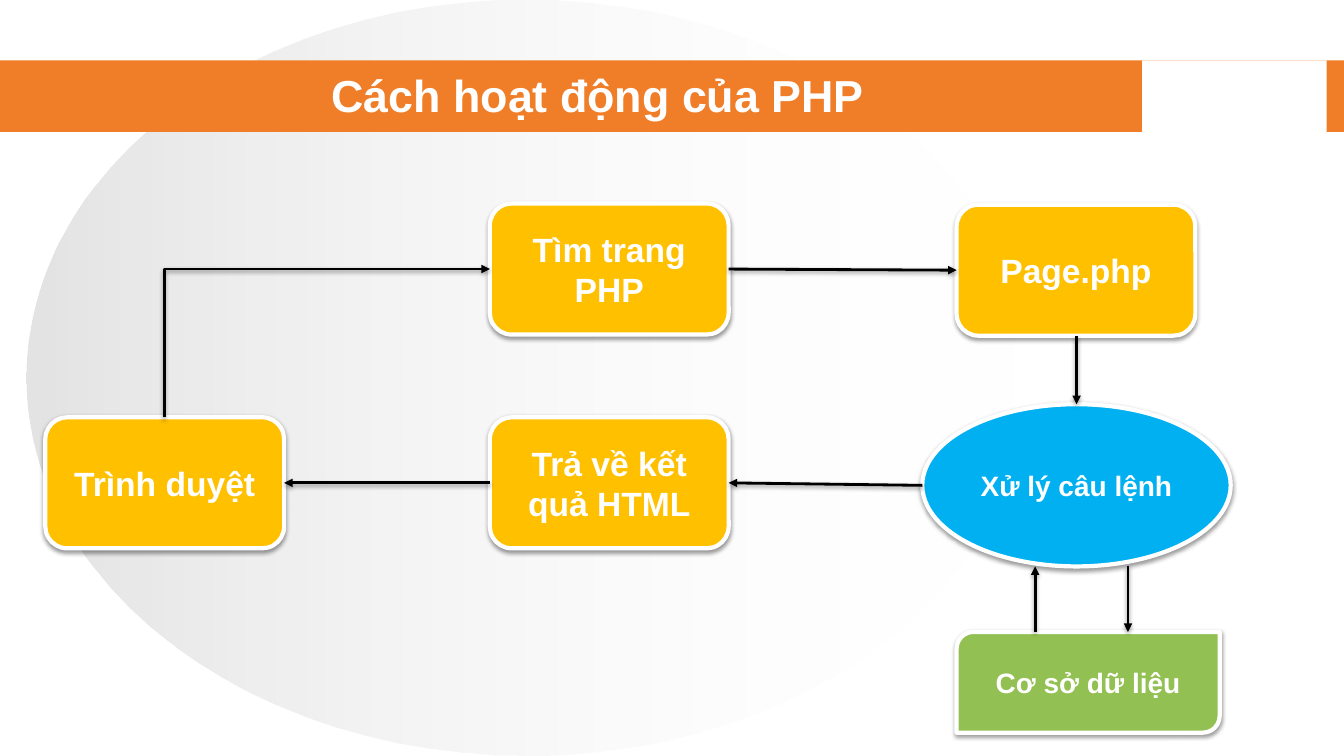
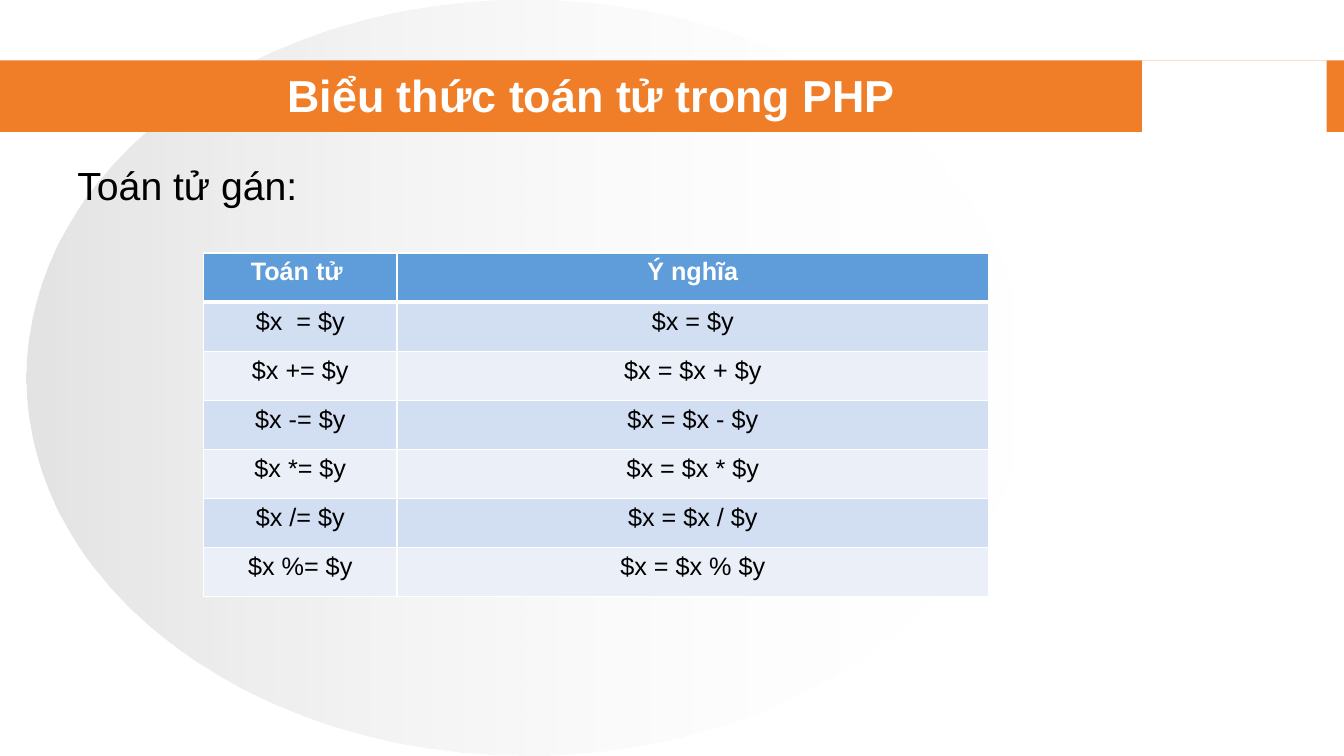
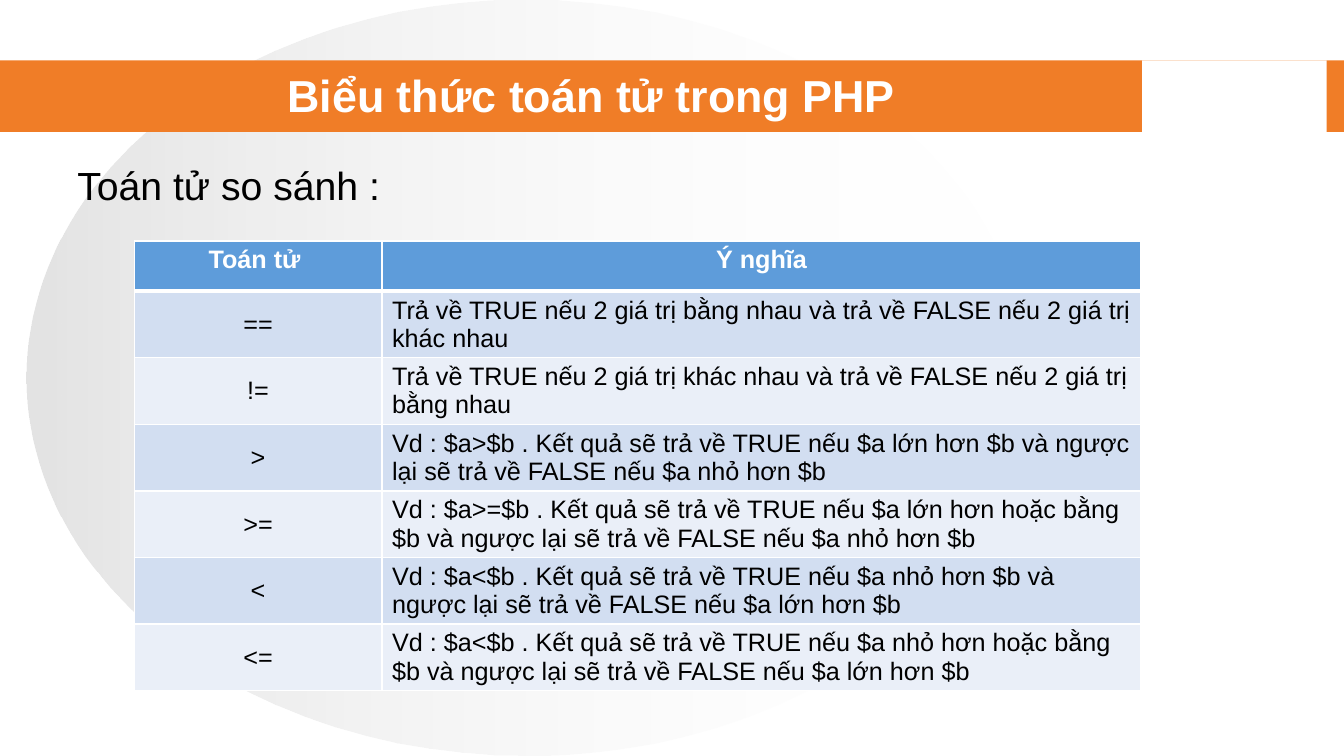
"""Build three slides on how PHP works and on its operators."""
from pptx import Presentation
from pptx.dml.color import RGBColor
from pptx.enum import shapes, text
from pptx.oxml import ns, parse_xml
from pptx.util import Pt

WHITE, BLACK, ORANGE, GREY = "FFFFFF", "000000", "F07D27", "C0C0C0"
AMBER, BLUE, GREEN = "FFC000", "00B0F0", "93C052"
HEADER, BANDS = "5E9CDA", ("D2DEF1", "EAEFF8")
CENTER, LEFT = text.PP_ALIGN.CENTER, text.PP_ALIGN.LEFT
MIDDLE, TOP = text.MSO_ANCHOR.MIDDLE, text.MSO_ANCHOR.TOP
FORM = shapes.MSO_SHAPE
SHADOW = (
    f'<a:effectLst {ns.nsdecls("a")}>'
    '<a:outerShdw blurRad="40000" dist="20000" dir="5400000" rotWithShape="0">'
    '<a:srgbClr val="000000"><a:alpha val="38000"/></a:srgbClr>'
    '</a:outerShdw></a:effectLst>'
)


def paint(fill, colour):
    """Give a shape, line, font or cell fill a solid colour."""
    fill.solid()
    fill.fore_color.rgb = RGBColor.from_string(colour)


def write(frame, words, colour, align=CENTER, **values):
    """Write one formatted paragraph into a text frame."""
    para = frame.paragraphs[0]
    para.alignment = align
    span = para.add_run()
    span.text = words
    paint(span.font.fill, colour)
    for name, value in {"name": "Arial", "bold": False, **values}.items():
        setattr(span.font, name, value)


deck = Presentation()
deck.slide_width, deck.slide_height = Pt(960), Pt(540)
layout = deck.slide_layouts[5]

pages = []
for title, width in (
    ("Cách hoạt động của PHP", 758),
    ("Biểu thức toán tử trong PHP", 748.8),
    ("Biểu thức toán tử trong PHP", 748.8),
):
    page = deck.slides.add_slide(layout)
    pages.append(page)
    box = page.shapes.title
    box.left, box.top, box.width, box.height = map(Pt, (48.2, 48.2, width, 38.2))
    box.text_frame.vertical_anchor = MIDDLE
    box.text_frame.auto_size = text.MSO_AUTO_SIZE.NONE
    write(box.text_frame, title, WHITE, size=Pt(32), bold=True)

flow, *operator_pages = pages

# Shared backdrop, moved behind the layout's placeholders
backdrop = (
    (FORM.OVAL, (18.7, 0, 714.2, 540), None),
    (FORM.RECTANGLE, (0, 43.2, 960, 51.1), ORANGE),
    (FORM.RECTANGLE, (815.8, 43.2, 131.8, 51.1), WHITE),
)
for order, (form, place, colour) in enumerate(backdrop):
    shape = flow.shapes.add_shape(form, *map(Pt, place))
    shape.shadow.inherit = False
    shape.line.fill.background()
    if colour:
        paint(shape.fill, colour)
    else:
        shape.fill.gradient()
        shape.fill.gradient_angle = 0
        for stop, shade, alpha in zip(shape.fill.gradient_stops, (GREY, WHITE), (44000, 0)):
            stop.color.rgb = RGBColor.from_string(shade)
        for tone, alpha in zip(shape.element.iter(ns.qn("a:srgbClr")), (44000, 0)):
            tone.append(parse_xml(f'<a:alpha {ns.nsdecls("a")} val="{alpha}"/>'))
    layout.shapes.element.insert(2 + order, shape.element)

STEP = (170.6, 93.6)
steps = (
    (FORM.ROUNDED_RECTANGLE, (32.4, 298.1, *STEP), AMBER, "Trình duyệt", 24),
    (FORM.OVAL, (658.8, 288.7, 220.3, 115.9), BLUE, "Xử lý câu lệnh", 20),
    (FORM.ROUND_2_DIAG_RECTANGLE, (683.3, 451.4, 187.9, 72), GREEN, "Cơ sở dữ liệu", 20),
    (FORM.ROUNDED_RECTANGLE, (349.9, 145.4, *STEP), AMBER, "Tìm trang PHP", 24),
    (FORM.ROUNDED_RECTANGLE, (349.9, 298.1, *STEP), AMBER, "Trả về kết quả HTML", 24),
    (FORM.ROUNDED_RECTANGLE, (683.3, 146.2, *STEP), AMBER, "Page.php", 24),
)
for form, place, colour, words, size in steps:
    step = flow.shapes.add_shape(form, *map(Pt, place))
    paint(step.fill, colour)
    paint(step.line.fill, WHITE)
    step.line.width = Pt(3)
    step.element.spPr.append(parse_xml(SHADOW))
    step.text_frame.vertical_anchor = MIDDLE
    write(step.text_frame, words, WHITE, size=Pt(size), bold=True)

arrows = (
    (117.4, 298.1, 349.9, 192.2),
    (520.5, 192.2, 683.3, 193),
    (769, 239.8, 769, 288.7),
    (805.7, 404.6, 805.7, 451.4),
    (739.4, 451.4, 739.4, 404.6),
    (658.8, 346.7, 520.5, 344.9),
    (349.9, 344.9, 203, 344.9),
)
for order, (x1, y1, x2, y2) in enumerate(arrows):
    bent = order == 0
    if bent:
        middle_x, middle_y = (x1 + x2) / 2, (y1 + y2) / 2
        half_x, half_y = (y1 - y2) / 2, (x2 - x1) / 2
        x1, y1 = middle_x + half_x, middle_y + half_y
        x2, y2 = middle_x - half_x, middle_y - half_y
    arrow = flow.shapes.add_connector(
        shapes.MSO_CONNECTOR.STRAIGHT, Pt(x1), Pt(y1), Pt(x2), Pt(y2)
    )
    paint(arrow.line.fill, BLACK)
    arrow.line.width = Pt(2)
    properties = arrow.element.spPr
    if bent:
        properties.find(ns.qn("a:xfrm")).set("rot", "5400000")
        properties.find(ns.qn("a:prstGeom")).set("prst", "bentConnector2")
    properties.find(ns.qn("a:ln")).append(
        parse_xml(f'<a:tailEnd {ns.nsdecls("a")} type="triangle"/>')
    )
    properties.append(parse_xml(SHADOW))

assignments = (
    ("$x  = $y", "$x = $y"),
    *((f"$x {sign}= $y", f"$x = $x {sign} $y") for sign in "+-*/%"),
)
comparisons = (
    ("==", "Trả về TRUE nếu 2 giá trị bằng nhau và trả về FALSE nếu 2 giá trị khác nhau"),
    ("!=", "Trả về TRUE nếu 2 giá trị khác nhau và trả về FALSE nếu 2 giá trị bằng nhau"),
    (">", "Vd : $a>$b . Kết quả sẽ trả về TRUE nếu $a lớn hơn $b và ngược lại sẽ trả về FALSE nếu $a nhỏ hơn $b"),
    (">=", "Vd : $a>=$b . Kết quả sẽ trả về TRUE nếu $a lớn hơn hoặc bằng $b và ngược lại sẽ trả về FALSE nếu $a nhỏ hơn $b"),
    ("<", "Vd : $a<$b . Kết quả sẽ trả về TRUE nếu $a nhỏ hơn $b và ngược lại sẽ trả về FALSE nếu $a lớn hơn $b"),
    ("<=", "Vd : $a<$b . Kết quả sẽ trả về TRUE nếu $a nhỏ hơn hoặc bằng $b và ngược lại sẽ trả về FALSE nếu $a lớn hơn $b"),
)
sections = (
    ("Toán tử gán:", 173.5, assignments, (145.4, 180.7), (138.2, 422.6), (35.1, 35.1), CENTER, TOP),
    ("Toán tử so sánh :", 233.3, comparisons, (95.8, 172.1), (177.1, 542.2), (36, 45.4), LEFT, MIDDLE),
)
for page, section in zip(operator_pages, sections):
    heading, heading_width, rows, corner, widths, heights, align, anchor = section
    rows = (("Toán tử ", "Ý nghĩa"), *rows)
    height = heights[0] + heights[1] * (len(rows) - 1)
    table = page.shapes.add_table(
        len(rows), 2, *map(Pt, (*corner, sum(widths), height))
    ).table
    for column, width in zip(table.columns, widths):
        column.width = Pt(width)
    for r, row in enumerate(rows):
        table.rows[r].height = Pt(heights[min(r, 1)])
        for c, words in enumerate(row):
            cell = table.cell(r, c)
            borders = {"L": 1, "R": 1, "T": 3 if r == 1 else 1, "B": 3 if r == 0 else 1}
            for side, weight in borders.items():
                cell._tc.get_or_add_tcPr().append(parse_xml(
                    f'<a:ln{side} {ns.nsdecls("a")} w="{Pt(weight)}"><a:solidFill>'
                    f'<a:srgbClr val="{WHITE}"/></a:solidFill></a:ln{side}>'
                ))
            paint(cell.fill, BANDS[(r - 1) % 2] if r else HEADER)
            cell.vertical_anchor = anchor if r and c == 0 else TOP
            write(cell.text_frame, words, BLACK if r else WHITE,
                  align if r and c else CENTER, size=Pt(18), bold=r == 0)

    box = page.shapes.add_textbox(*map(Pt, (48.2, 111.6, heading_width, 41)))
    box.text_frame.word_wrap = False
    box.text_frame.auto_size = text.MSO_AUTO_SIZE.SHAPE_TO_FIT_TEXT
    write(box.text_frame, heading, BLACK, LEFT, size=Pt(28))

deck.save("out.pptx")
